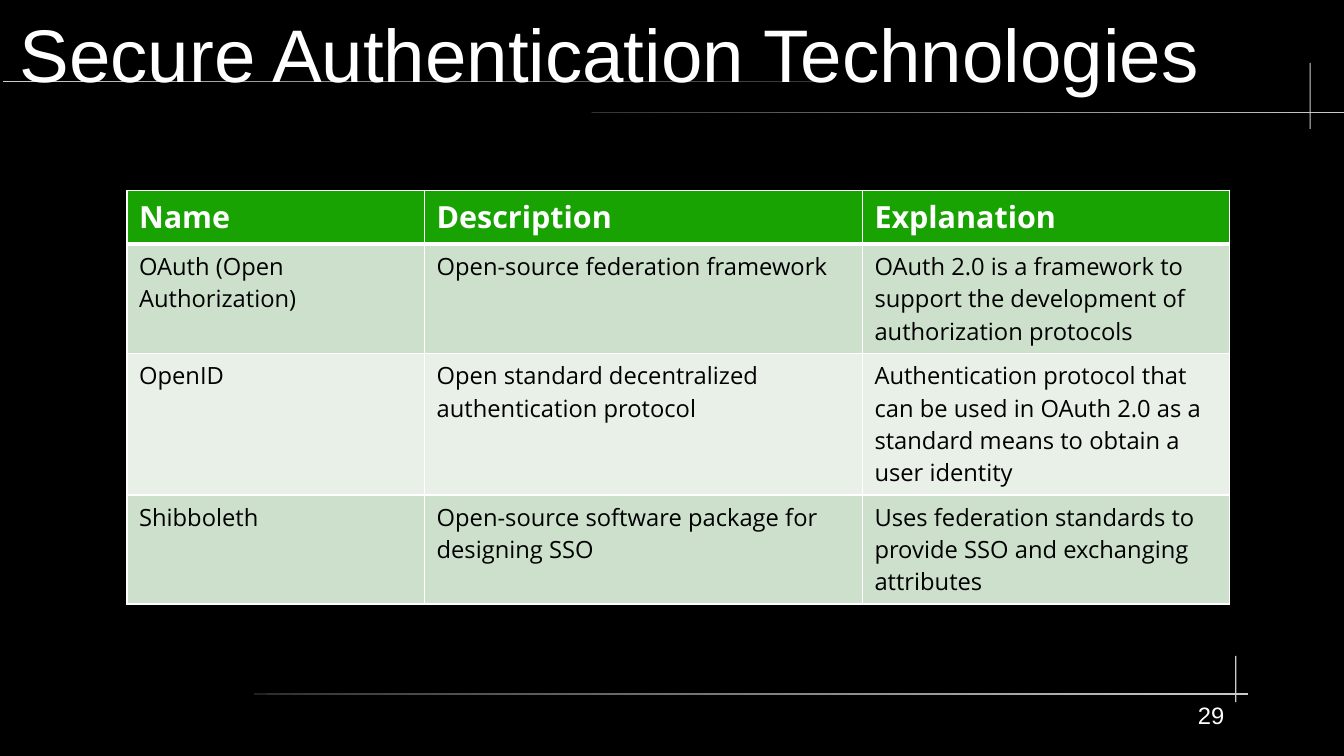
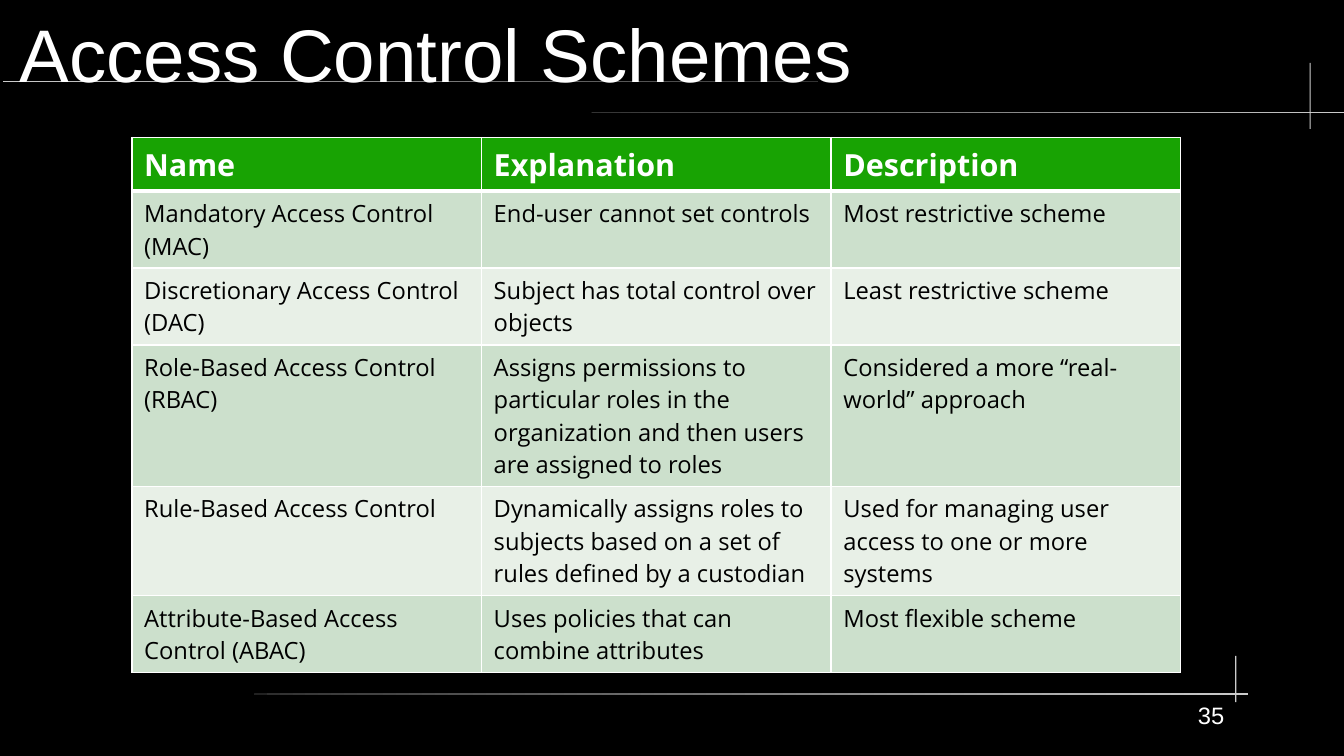
"""Build two dark slides that compare security technologies in tables."""
from dataclasses import dataclass

from lxml import etree
from pptx import Presentation
from pptx.dml.color import RGBColor
from pptx.enum import shapes, text
from pptx.oxml import ns
from pptx.util import Pt

BLACK, WHITE = "000000", "FFFFFF"
BRIGHT, DIM = "CCCCCC", "333333"
GREEN, BANDS = "18A303", ("CCE0CC", "E8F0E7")
HEADING_FONT, TABLE_FONT = "Arial", "Open Sans"
THIN, THICK = 0.96, 3
HEADER_HEIGHT, LINE_HEIGHT, CELL_PADDING = 31.7, 19.1, 7.2


@dataclass(frozen=True)
class Rule:
    left: float
    top: float
    width: float
    height: float
    start: str = BRIGHT
    end: str = BRIGHT


@dataclass(frozen=True)
class Row:
    lines: int
    cells: tuple[str, str, str]


@dataclass(frozen=True)
class Topic:
    title: str
    number: int
    left: float
    top: float
    columns: tuple[float, float, float]
    header: tuple[str, str, str]
    rows: tuple[Row, ...]


RULES = (
    Rule(1.5, 47.6, 481.7, 1.1, BRIGHT, DIM),
    Rule(349.2, 66.1, 447.1, 0.7, DIM, BRIGHT),
    Rule(773.1, 37.2, 0.7, 38.9),
    Rule(149.8, 409.5, 587.2, 0.7, DIM, BRIGHT),
    Rule(729.2, 387.2, 0.7, 27.4),
)

TOPICS = (
    Topic(
        "Secure Authentication Technologies", 29, 74.9, 112.4, (175.7, 258.5, 216.7),
        ("Name", "Description", "Explanation"),
        (
            Row(3, ("OAuth (Open Authorization)",
                    "Open-source federation framework",
                    "OAuth 2.0 is a framework to support the development of "
                    "authorization protocols")),
            Row(4, ("OpenID",
                    "Open standard decentralized authentication protocol",
                    "Authentication protocol that can be used in OAuth 2.0 as a "
                    "standard means to obtain a user identity")),
            Row(3, ("Shibboleth",
                    "Open-source software package for designing SSO",
                    "Uses federation standards to provide SSO and exchanging attributes")),
        ),
    ),
    Topic(
        "Access Control Schemes", 35, 77.9, 81.2, (206.4,) * 3,
        ("Name", "Explanation", "Description"),
        (
            Row(2, ("Mandatory Access Control (MAC)",
                    "End-user cannot set controls",
                    "Most restrictive scheme")),
            Row(2, ("Discretionary Access Control (DAC)",
                    "Subject has total control over objects",
                    "Least restrictive scheme")),
            Row(4, ("Role-Based Access Control (RBAC)",
                    "Assigns permissions to particular roles in the organization "
                    "and then users are assigned to roles",
                    "Considered a more “real-world” approach")),
            Row(3, ("Rule-Based Access Control",
                    "Dynamically assigns roles to subjects based on a set of rules "
                    "defined by a custodian",
                    "Used for managing user access to one or more systems")),
            Row(2, ("Attribute-Based Access Control (ABAC)",
                    "Uses policies that can combine attributes",
                    "Most flexible scheme")),
        ),
    ),
)


def paint(target, colour: str) -> None:
    if hasattr(target, "solid"):
        target.solid()
        target = target.fore_color
    target.rgb = RGBColor.from_string(colour)


def write(frame, words: str, *, size: float, font: str, colour: str,
          bold: bool = False, align=text.PP_ALIGN.LEFT) -> None:
    para = frame.paragraphs[0]
    para.alignment = align
    span = para.add_run()
    span.text = words
    span.font.size = Pt(size)
    span.font.name = font
    span.font.bold = bold
    paint(span.font.color, colour)


def add_label(page, words: str, left: float, top: float, width: float, height: float,
              *, anchor=text.MSO_ANCHOR.TOP, **style) -> None:
    box = page.shapes.add_textbox(Pt(left), Pt(top), Pt(width), Pt(height))
    frame = box.text_frame
    frame.word_wrap = True
    frame.vertical_anchor = anchor
    frame.margin_left = frame.margin_right = frame.margin_top = frame.margin_bottom = 0
    write(frame, words, font=HEADING_FONT, colour=WHITE, **style)


def add_rule(page, rule: Rule) -> None:
    kind = shapes.MSO_SHAPE
    fades = rule.start != rule.end
    bar = page.shapes.add_shape(kind.ROUNDED_RECTANGLE if fades else kind.RECTANGLE,
                                Pt(rule.left), Pt(rule.top), Pt(rule.width), Pt(rule.height))
    bar.shadow.inherit = False
    bar.line.fill.background()
    if fades:
        bar.adjustments[0] = 0.5
        bar.fill.gradient()
        bar.fill.gradient_angle = 0
        for stop, colour in zip(bar.fill.gradient_stops, (rule.start, rule.end)):
            paint(stop.color, colour)
    else:
        paint(bar.fill, rule.start)


def set_borders(cell, top: float, bottom: float) -> None:
    properties = cell._tc.get_or_add_tcPr()
    for side, width in (("L", THIN), ("R", THIN), ("T", top), ("B", bottom)):
        line = etree.SubElement(properties, ns.qn(f"a:ln{side}"), w=str(Pt(width)))
        fill = etree.SubElement(line, ns.qn("a:solidFill"))
        etree.SubElement(fill, ns.qn("a:srgbClr"), val=WHITE)


def add_grid(page, topic: Topic) -> None:
    heights = [HEADER_HEIGHT] + [CELL_PADDING + LINE_HEIGHT * row.lines for row in topic.rows]
    contents = [topic.header] + [row.cells for row in topic.rows]
    grid = page.shapes.add_table(len(heights), len(topic.columns), Pt(topic.left),
                                 Pt(topic.top), Pt(sum(topic.columns)), Pt(sum(heights))).table
    for column, width in zip(grid.columns, topic.columns):
        column.width = Pt(width)
    for index, (height, cells) in enumerate(zip(heights, contents)):
        grid.rows[index].height = Pt(height)
        is_header = index == 0
        for position, words in enumerate(cells):
            cell = grid.cell(index, position)
            set_borders(cell, top=THICK if index == 1 else THIN,
                        bottom=THICK if is_header else THIN)
            paint(cell.fill, GREEN if is_header else BANDS[(index - 1) % 2])
            write(cell.text_frame, words, size=18 if is_header else 14, font=TABLE_FONT,
                  colour=WHITE if is_header else BLACK, bold=is_header)


def add_page(deck, topic: Topic) -> None:
    page = deck.slides.add_slide(deck.slide_layouts[6])
    for rule in RULES:
        add_rule(page, rule)
    add_label(page, topic.title, 11.5, 5.8, 751, 51.1, size=44, anchor=text.MSO_ANCHOR.MIDDLE)
    add_grid(page, topic)
    add_label(page, str(topic.number), 595.4, 414, 127.4, 32.4, size=14,
              align=text.PP_ALIGN.RIGHT)


def main() -> None:
    deck = Presentation()
    deck.slide_width, deck.slide_height = Pt(793.44), Pt(446.4)
    paint(deck.slide_master.background.fill, BLACK)
    for topic in TOPICS:
        add_page(deck, topic)
    deck.save("out.pptx")


if __name__ == "__main__":
    main()
